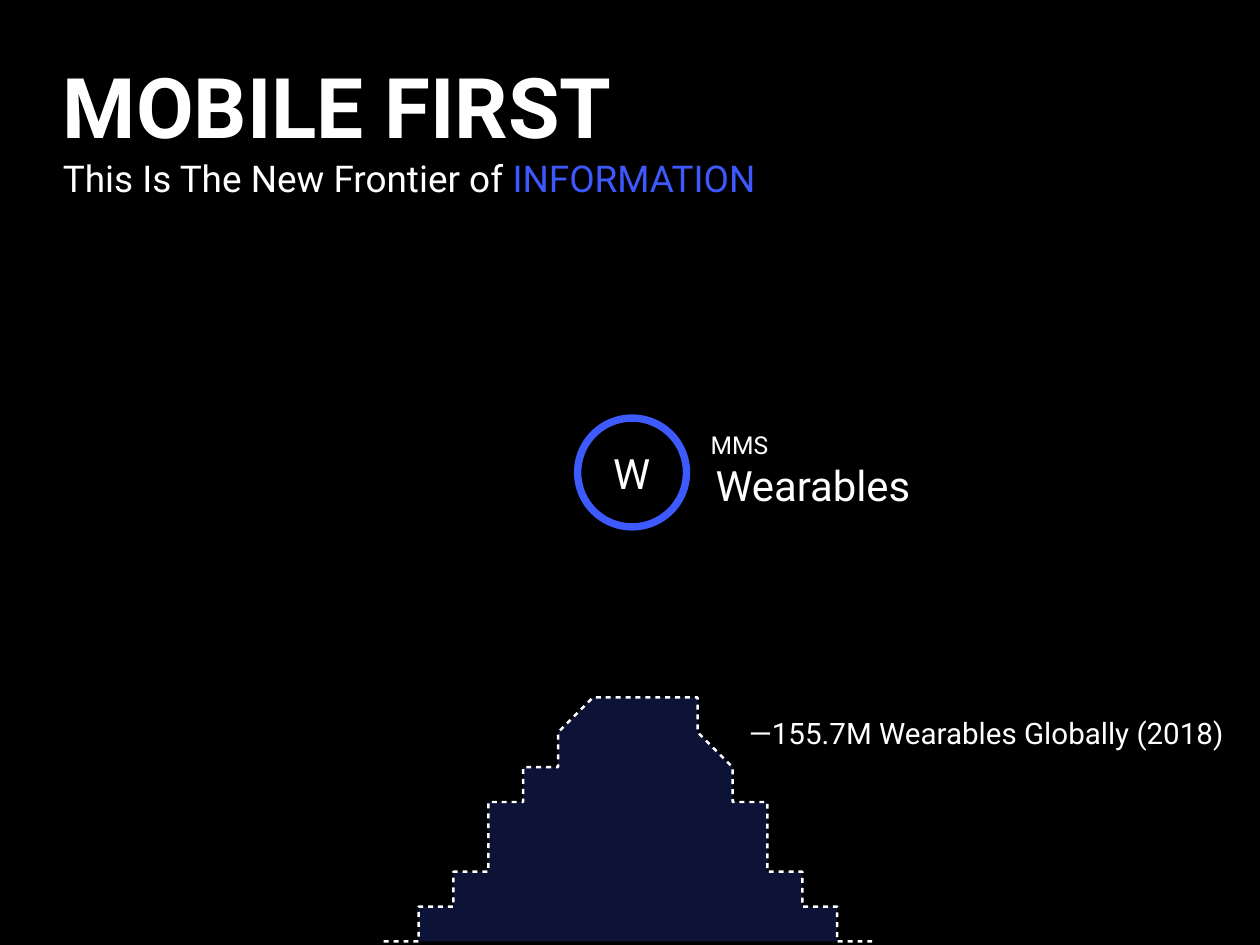
from pptx import Presentation
from pptx import util as u
from pptx.dml.color import RGBColor
from pptx.enum import shapes, text
from pptx.oxml import parse_xml
from pptx.oxml.ns import nsdecls, qn

HUES = {"black": "000000", "white": "FFFFFF", "blue": "3D5AFE", "word": "3D59FE"}


def hue(name):
    return RGBColor.from_string(HUES[name])


class Deck:
    """Holds the style and the current slide."""

    face = "Roboto"
    inset = u.Cm(0.15)

    def __init__(self, wide, high):
        self.prs = Presentation()
        self.prs.slide_width, self.prs.slide_height = u.Cm(wide), u.Cm(high)
        self.slide = self.prs.slides.add_slide(self.prs.slide_layouts[5])
        back = self.slide.background.fill
        back.solid()
        back.fore_color.rgb = hue("black")

    def frame(self, shape):
        tf = shape.text_frame
        tf.margin_left = tf.margin_right = self.inset
        tf.margin_top = tf.margin_bottom = self.inset
        tf.word_wrap = True
        tf.auto_size = text.MSO_AUTO_SIZE.NONE
        tf.vertical_anchor = text.MSO_ANCHOR.MIDDLE
        return tf

    def style(self, para, size, align, bold=False):
        para.alignment = align
        font = para.font
        font.name, font.size, font.bold = self.face, u.Pt(size), bold
        font.color.rgb = hue("white")

    def title(self, box, head, sub, word):
        shape = self.slide.shapes.title
        shape.left, shape.top, shape.width, shape.height = map(u.Cm, box)
        tf = self.frame(shape)
        tf.text = head
        self.style(tf.paragraphs[0], 68, text.PP_ALIGN.LEFT, True)
        para = tf.add_paragraph()
        self.style(para, 30, text.PP_ALIGN.LEFT)
        para.add_run().text = sub
        run = para.add_run()
        run.text = word
        run.font.color.rgb = hue("word")

    def label(self, home, box, words, size):
        tf = self.frame(home.add_textbox(*map(u.Cm, box)))
        tf.text = words
        self.style(tf.paragraphs[0], size, text.PP_ALIGN.CENTER)

    def ring(self, home, box):
        shape = home.add_shape(shapes.MSO_SHAPE.OVAL, *map(u.Cm, box))
        shape.shadow.inherit = False
        shape.fill.background()
        shape.line.color.rgb = hue("blue")
        shape.line.width = u.Pt(6)

    def curve(self, start, bends, steps=24):
        # Sample each cubic bend into short segments
        dots = [start]
        for b, c, d in bends:
            a = dots[-1]
            for i in range(1, steps + 1):
                t = i / steps
                s = 1 - t
                dots.append(tuple(
                    s**3 * p + 3 * s * s * t * q + 3 * s * t * t * r + t**3 * e
                    for p, q, r, e in zip(a, b, c, d)))
        pen = self.slide.shapes.build_freeform(*start, scale=u.Cm(1))
        pen.add_line_segments(dots[1:], close=False)
        shape = pen.convert_to_shape()
        shape.shadow.inherit = False

        # Sheer fill
        shape.fill.solid()
        shape.fill.fore_color.rgb = hue("blue")
        tint = shape.fill._xPr.find(qn("a:solidFill"))[0]
        tint.append(parse_xml(f'<a:alpha {nsdecls("a")} val="22000"/>'))

        # Dashed edge
        shape.line.color.rgb = hue("white")
        shape.line.width = u.Pt(2)
        shape.line._get_or_add_ln().append(parse_xml(
            f'<a:custDash {nsdecls("a")}><a:ds d="200000" sp="200000"/></a:custDash>'))


def main():
    deck = Deck(36.12, 27.1)
    home = deck.slide.shapes

    # Heading
    deck.title((1.65, 1.42, 20.68, 4.45), "MOBILE FIRST",
               "This Is The New Frontier of ", "INFORMATION")

    # Bell curve
    deck.curve((11.38, 27.25), [
        ((12.55, 26.06), (13.59, 24.74), (14.48, 23.27)),
        ((15.44, 21.72), (16.46, 19.91), (18.08, 19.91)),
        ((20.09, 19.91), (21.08, 22.3), (22.2, 24.13)),
        ((22.91, 25.32), (23.77, 26.39), (24.77, 27.25)),
    ])

    # Wearables badge
    badge = home.add_group_shape().shapes
    deck.label(badge, (19.38, 12.62, 7.85, 2.59), "Wearables", 34)
    deck.ring(badge, (16.56, 11.99, 3.12, 3.12))
    deck.label(badge, (17.37, 12.75, 1.47, 1.6), "W", 34)
    deck.label(badge, (20.02, 12.22, 2.36, 1.07), "MMS", 20)

    # Figure beside the curve
    deck.label(home, (21.16, 20.35, 14.22, 1.3),
               "—155.7M Wearables Globally (2018)", 24)

    deck.prs.save("out.pptx")


if __name__ == "__main__":
    main()
